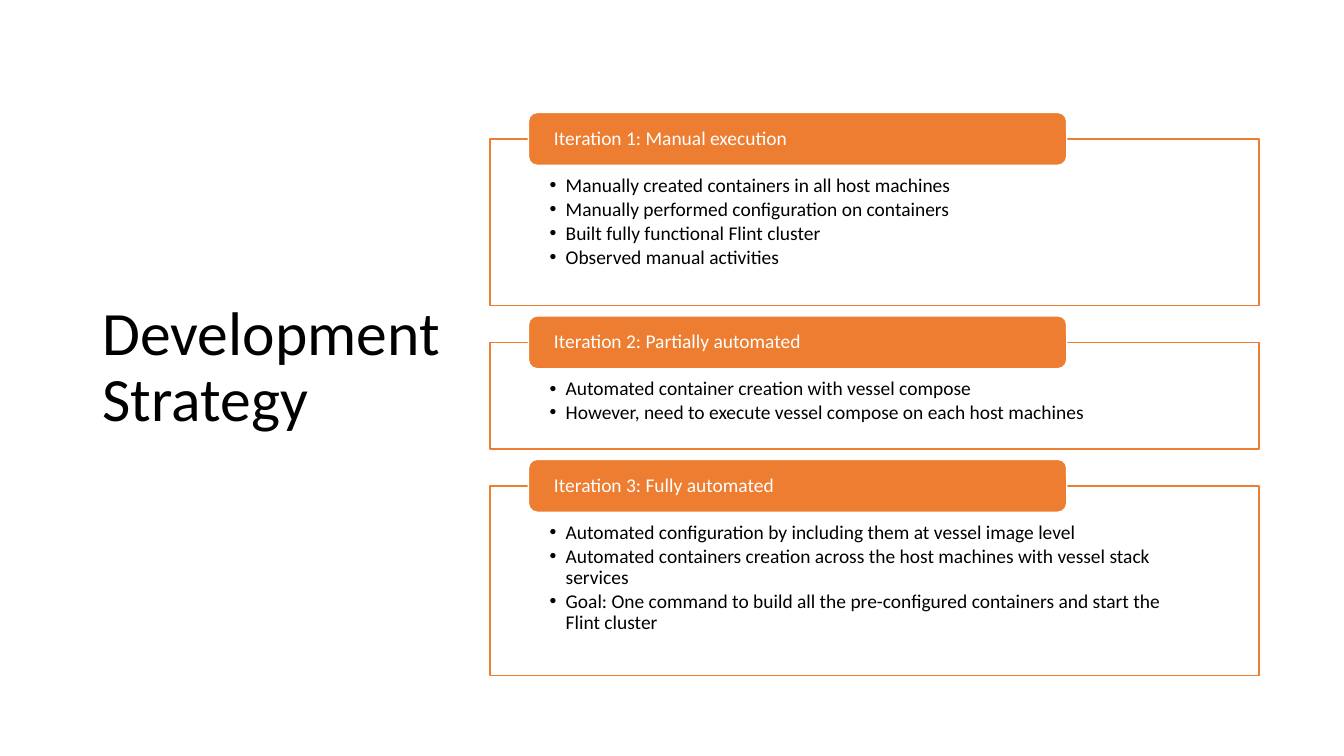
from lxml import etree
from pptx import Presentation
from pptx.dml.color import RGBColor
from pptx.enum import shapes, text
from pptx.oxml import ns
from pptx.util import Pt

TITLE = "Development Strategy"
ITERATIONS = [
    ("Iteration 1: Manual execution", 118.8, [
        "Manually created containers in all host machines",
        "Manually performed configuration on containers",
        "Built fully functional Flint cluster",
        "Observed manual activities",
    ]),
    ("Iteration 2: Partially automated", 76, [
        "Automated container creation with vessel compose",
        "However, need to execute vessel compose on each host machines",
    ]),
    ("Iteration 3: Fully automated", 135.4, [
        "Automated configuration by including them at vessel image level",
        "Automated containers creation across the host machines with vessel stack services",
        "Goal: One command to build all the pre-configured containers and start the Flint cluster",
    ]),
]

ORANGE = RGBColor(0xED, 0x7D, 0x31)
WHITE = RGBColor(0xFF, 0xFF, 0xFF)
BLACK = RGBColor(0, 0, 0)
FONT = "Calibri"
BODY_SIZE = 13.9
PANEL_LEFT, PANEL_TOP, PANEL_WIDTH, PANEL_GAP = 350, 99.4, 549.3, 26.5
TAB_INDENT, TAB_RISE, TAB_WIDTH, TAB_HEIGHT = 27.5, 19.1, 384.5, 37.8
BULLET_INDENT = 11.5


def add_box(s, kind, frame, fill, line):
    sp = s.shapes.add_shape(kind, *map(Pt, frame))
    sp.shadow.inherit = False
    sp.fill.solid()
    sp.fill.fore_color.rgb = fill
    sp.line.color.rgb = line
    sp.line.width = Pt(1)
    return sp


def set_text(sp, lines, size, color, insets, anchor, after=0):
    tf = sp.text_frame
    tf.text = "\n".join(lines)
    tf.word_wrap = True
    tf.auto_size = text.MSO_AUTO_SIZE.NONE
    tf.vertical_anchor = anchor
    tf.margin_left, tf.margin_top, tf.margin_right, tf.margin_bottom = map(Pt, insets)
    for p in tf.paragraphs:
        p.alignment = text.PP_ALIGN.LEFT
        p.line_spacing = 0.9
        p.space_after = Pt(after)
        for r in p.runs:
            r.font.name = FONT
            r.font.size = Pt(size)
            r.font.color.rgb = color


def add_bullets(sp):
    for p in sp.text_frame.paragraphs:
        pPr = p._p.get_or_add_pPr()
        pPr.set("marL", str(Pt(BULLET_INDENT)))
        pPr.set("indent", str(-Pt(BULLET_INDENT)))
        etree.SubElement(pPr, ns.qn("a:buFont")).set("typeface", "Arial")
        etree.SubElement(pPr, ns.qn("a:buChar")).set("char", "•")


def set_alpha(sp, percent):
    color = sp.fill._xPr.find(ns.qn("a:solidFill"))[0]
    etree.SubElement(color, ns.qn("a:alpha")).set("val", str(percent * 1000))


def main():
    prs = Presentation()
    prs.slide_width, prs.slide_height = Pt(960), Pt(540)
    s = prs.slides.add_slide(prs.slide_layouts[5])
    title = s.shapes.title
    title.left, title.top, title.width, title.height = map(Pt, (66, 44, 269.5, 438.5))
    set_text(title, [TITLE], 44, BLACK, (7.2, 3.6, 7.2, 3.6), text.MSO_ANCHOR.MIDDLE)

    top = PANEL_TOP
    for heading, height, points in ITERATIONS:
        panel = add_box(s, shapes.MSO_SHAPE.RECTANGLE,
                        (PANEL_LEFT, top, PANEL_WIDTH, height), WHITE, ORANGE)
        set_alpha(panel, 90)
        set_text(panel, points, BODY_SIZE, BLACK, (42.6, 26, 42.6, 8.6),
                 text.MSO_ANCHOR.TOP, after=2.1)
        add_bullets(panel)
        tab = add_box(s, shapes.MSO_SHAPE.ROUNDED_RECTANGLE,
                      (PANEL_LEFT + TAB_INDENT, top - TAB_RISE, TAB_WIDTH, TAB_HEIGHT),
                      ORANGE, WHITE)
        set_text(tab, [heading], BODY_SIZE, WHITE, (16.4, 2, 16.4, 2), text.MSO_ANCHOR.MIDDLE)
        top += height + PANEL_GAP

    prs.save("out.pptx")


if __name__ == "__main__":
    main()
